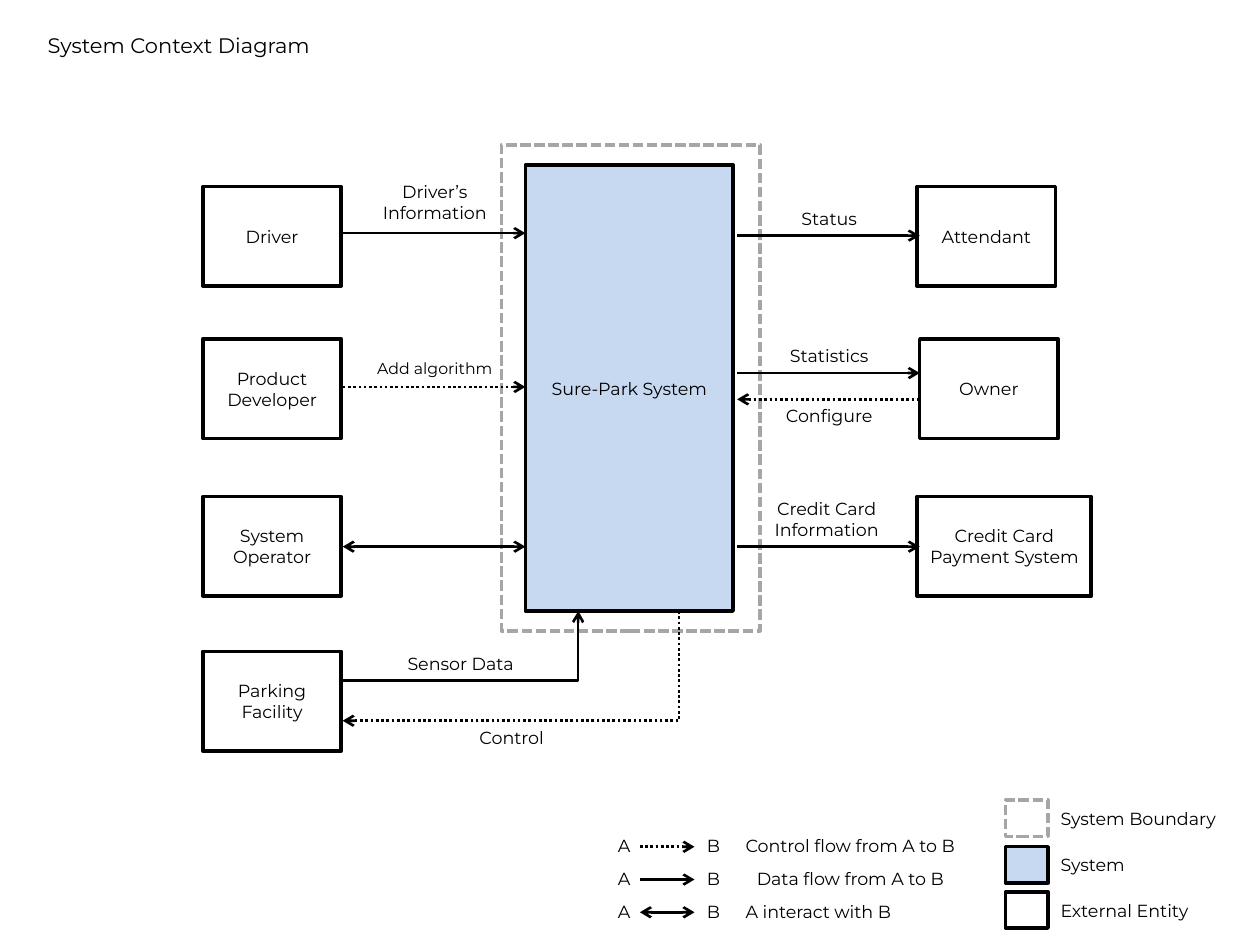
from lxml.etree import SubElement
from pptx import Presentation
from pptx.dml.color import RGBColor
from pptx.enum.dml import MSO_LINE
from pptx.enum.shapes import MSO_CONNECTOR, MSO_SHAPE
from pptx.enum.text import MSO_ANCHOR, MSO_AUTO_SIZE, PP_ALIGN
from pptx.oxml.ns import qn
from pptx.util import Cm, Pt

BLACK = RGBColor(0x00, 0x00, 0x00)
GRAY = RGBColor(0xA6, 0xA6, 0xA6)
BLUE = RGBColor(0xC6, 0xD9, 0xF1)
FONT = "Montserrat"

LEFT_X, RIGHT_X = 4.09, 18.49
ENTITY_W, ENTITY_H = 2.79, 2.01
ROWS = (3.76, 6.83, 10.01, 13.13)
IN_X, OUT_X, FLOW_W = 6.91, 14.86, 3.68
LABEL_W, LABEL_H, LABEL_H2 = 3.71, 0.69, 1.12
SYSTEM_BOTTOM = 12.32


def write(tf, text, size=10, align=PP_ALIGN.CENTER):
    """Put one formatted paragraph in a text frame."""
    p = tf.paragraphs[0]
    p.alignment = align
    for i, line in enumerate(text.split("\n")):
        if i:
            p.add_line_break()
        r = p.add_run()
        r.text = line
        r.font.name = FONT
        r.font.size = Pt(size)
        r.font.color.rgb = BLACK


def add_text(shapes, text, x, y, w, h=LABEL_H, wrap=True, **fmt):
    """Add a text box."""
    tf = shapes.add_textbox(Cm(x), Cm(y), Cm(w), Cm(h)).text_frame
    tf.word_wrap = wrap
    tf.auto_size = MSO_AUTO_SIZE.SHAPE_TO_FIT_TEXT
    write(tf, text, **fmt)


def add_box(shapes, x, y, w, h, text="", fill=None, line=BLACK, dash=None):
    """Add an outlined rectangle with centred text."""
    sp = shapes.add_shape(MSO_SHAPE.RECTANGLE, Cm(x), Cm(y), Cm(w), Cm(h))
    sp.shadow.inherit = False
    if fill is None:
        sp.fill.background()
    else:
        sp.fill.solid()
        sp.fill.fore_color.rgb = fill
    sp.line.color.rgb = line
    sp.line.width = Pt(2)
    if dash:
        sp.line.dash_style = dash
    if text:
        sp.text_frame.word_wrap = True
        sp.text_frame.vertical_anchor = MSO_ANCHOR.MIDDLE
        write(sp.text_frame, text)


def add_flow(shapes, x1, y1, x2, y2, dotted=False, ends=("tailEnd",), bend=None):
    """Add an arrow; bend places the turn of an elbow, in 1/100000 of its width."""
    kind = MSO_CONNECTOR.STRAIGHT if bend is None else MSO_CONNECTOR.ELBOW
    cxn = shapes.add_connector(kind, Cm(x1), Cm(y1), Cm(x2), Cm(y2))
    cxn.line.color.rgb = BLACK
    cxn.line.width = Pt(1.5)
    if dotted:
        cxn.line.dash_style = MSO_LINE.ROUND_DOT
    spPr = cxn._element.spPr
    for end in ends:
        SubElement(spPr.find(qn("a:ln")), qn("a:" + end), type="arrow")
    SubElement(spPr, qn("a:effectLst"))
    if bend is not None:
        geom = spPr.find(qn("a:prstGeom"))
        av = geom.find(qn("a:avLst"))
        if av is None:
            av = SubElement(geom, qn("a:avLst"))
        SubElement(av, qn("a:gd"), name="adj1", fmla=f"val {bend}")


def add_entities(shapes):
    """Draw the boundary, the system and the external entities."""
    add_box(shapes, 10.11, 2.92, 5.21, 9.8, line=GRAY, dash=MSO_LINE.SQUARE_DOT)
    add_box(shapes, 10.59, 3.33, 4.19, 8.99, "Sure-Park System", fill=BLUE)
    left = ("Driver", "Product Developer", "System Operator", "Parking\nFacility")
    for text, y in zip(left, ROWS):
        add_box(shapes, LEFT_X, y, ENTITY_W, ENTITY_H, text)
    right = (("Attendant", RIGHT_X, ENTITY_W), ("Owner", 18.54, ENTITY_W),
             ("Credit Card\nPayment System", RIGHT_X, 3.51))
    for (text, x, w), y in zip(right, ROWS):
        add_box(shapes, x, y, w, ENTITY_H, text)


def add_flows(shapes):
    """Draw the flows between the system and the entities."""
    both = ("headEnd", "tailEnd")
    flows = (
        (IN_X, 4.7, False, ("tailEnd",)),
        (IN_X, 7.8, True, ("tailEnd",)),
        (IN_X, 11.02, False, both),
        (OUT_X, 4.75, False, ("tailEnd",)),
        (OUT_X, 7.52, False, ("tailEnd",)),
        (OUT_X, 8.05, True, ("headEnd",)),
        (OUT_X, 11.02, False, ("tailEnd",)),
    )
    for x, y, dotted, ends in flows:
        add_flow(shapes, x, y, x + FLOW_W, y, dotted, ends)
    add_flow(shapes, IN_X, 13.72, 11.66, SYSTEM_BOTTOM, bend=99900)
    add_flow(shapes, 13.69, SYSTEM_BOTTOM, IN_X, 14.53, dotted=True, bend=0)

    add_text(shapes, "Driver’s Information", IN_X, 3.53, LABEL_W, LABEL_H2)
    add_text(shapes, "Add algorithm", IN_X, 7.11, LABEL_W, 0.64, size=9)
    add_text(shapes, "Sensor Data", IN_X, 13.03, 4.75)
    add_text(shapes, "Control", IN_X, 14.53, 6.81)
    for text, y in (("Status", 4.06), ("Statistics", 6.83), ("Configure", 8.05)):
        add_text(shapes, text, OUT_X, y, LABEL_W)
    add_text(shapes, "Credit Card\nInformation", 14.81, 9.91, LABEL_W, LABEL_H2)


def add_legend(shapes):
    """Draw the keys for arrows and boxes."""
    keys = (
        ("Control flow from A to B", 5.31, PP_ALIGN.LEFT, True, ("tailEnd",)),
        ("Data flow from A to B", 4.72, PP_ALIGN.CENTER, False, ("tailEnd",)),
        ("A interact with B", 4.72, PP_ALIGN.LEFT, False, ("headEnd", "tailEnd")),
    )
    for i, (text, w, align, dotted, ends) in enumerate(keys):
        y = 17.07 + 0.66 * i
        row = shapes.add_group_shape().shapes
        add_flow(row, 12.9, y, 14, y, dotted, ends)
        add_text(row, "A", 12.09, y - 0.36, 0.99)
        add_text(row, "B", 13.89, y - 0.36, 0.99)
        add_text(row, text, 14.78, y - 0.36, w, align=align)

    swatches = (
        ("System Boundary", 16.13, 3.99, dict(line=GRAY, dash=MSO_LINE.SQUARE_DOT)),
        ("System", 17.07, 2.16, dict(fill=BLUE)),
        ("External Entity", 17.98, 3.4, {}),
    )
    for text, y, w, style in swatches:
        add_box(shapes, 20.27, y, 0.86, 0.73, **style)
        add_text(shapes, text, 21.13, y + 0.03, w, align=PP_ALIGN.LEFT)


def main():
    """Build the slide."""
    prs = Presentation()
    prs.slide_width, prs.slide_height = Cm(25.4), Cm(19.05)
    s = prs.slides.add_slide(prs.slide_layouts[6])
    add_text(s.shapes, "System Context Diagram", 0.71, 0.53, 6.5, 0.76,
             wrap=False, size=12, align=PP_ALIGN.LEFT)
    add_entities(s.shapes)
    add_flows(s.shapes)
    add_legend(s.shapes)
    prs.save("out.pptx")


main()
